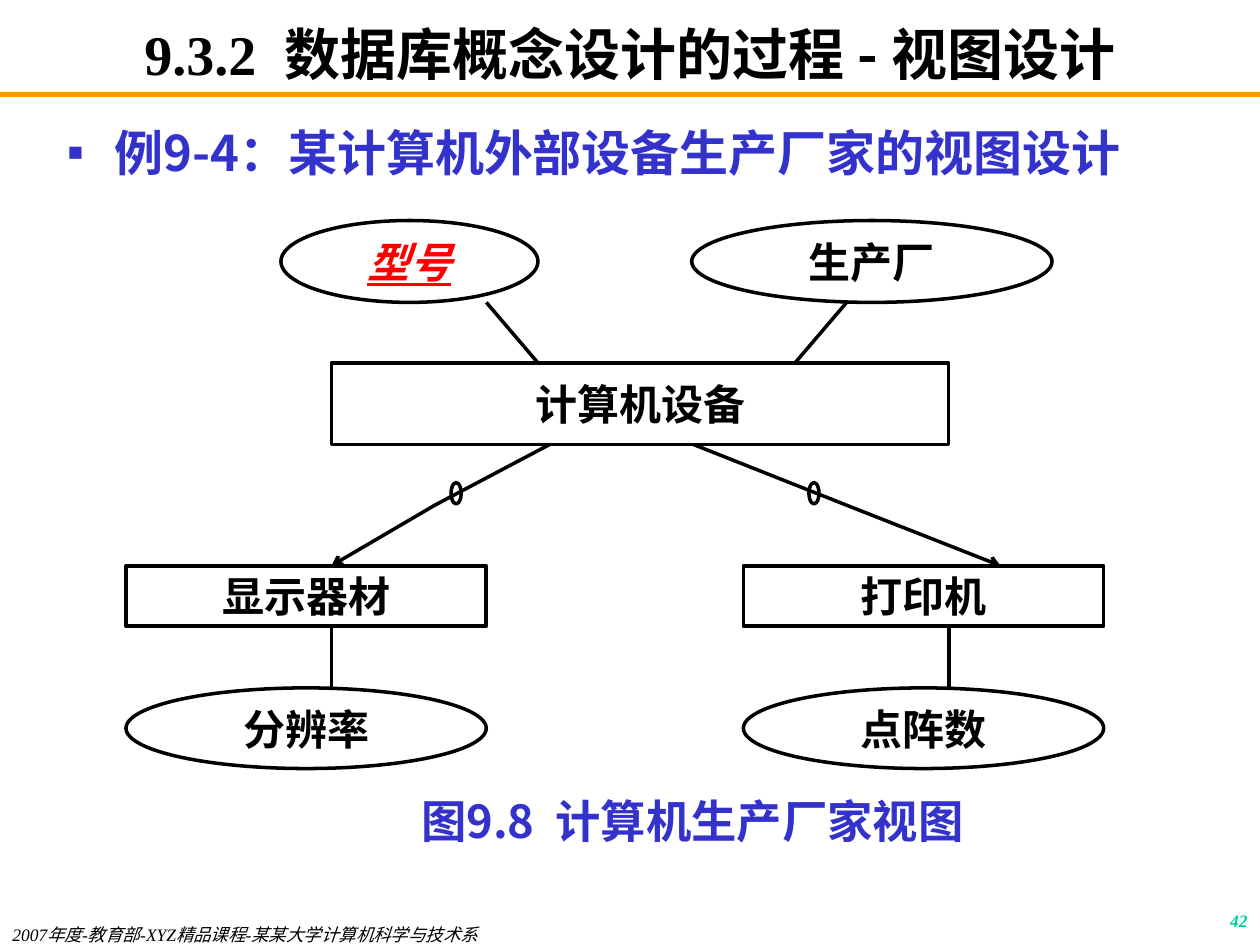
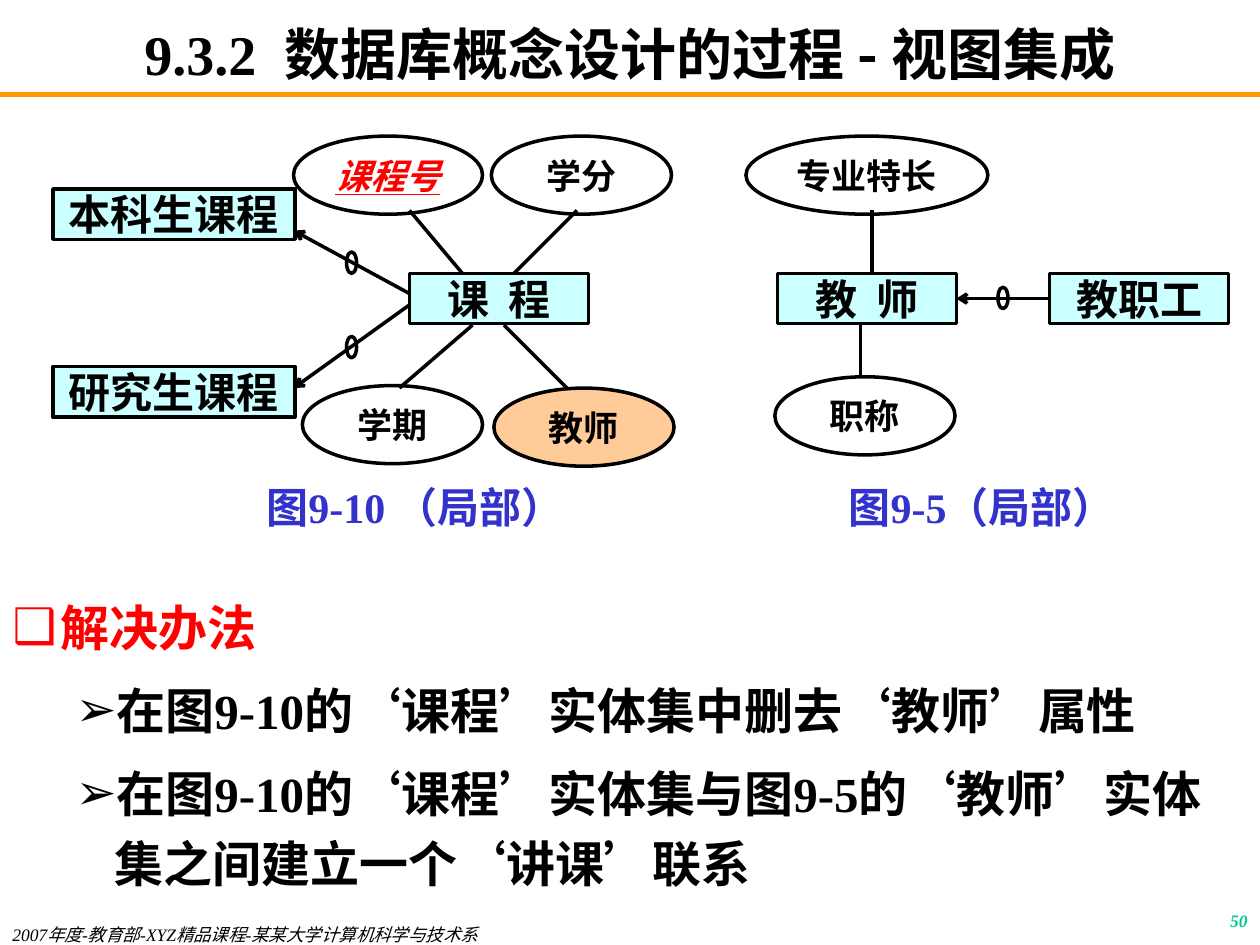
from pptx import Presentation
from pptx.dml.color import RGBColor
from pptx.enum.shapes import MSO_CONNECTOR, MSO_SHAPE
from pptx.enum.text import MSO_ANCHOR, MSO_AUTO_SIZE, PP_ALIGN
from pptx.oxml.ns import qn
from pptx.util import Inches, Pt
from lxml.etree import SubElement

BLACK = RGBColor(0x00, 0x00, 0x00)
WHITE = RGBColor(0xFF, 0xFF, 0xFF)
RED = RGBColor(0xFF, 0x00, 0x00)
BLUE = RGBColor(0x33, 0x33, 0xCC)
GREEN = RGBColor(0x00, 0xCC, 0x99)
ORANGE = RGBColor(0xFF, 0x99, 0x00)
CYAN = RGBColor(0xCC, 0xFF, 0xFF)
PEACH = RGBColor(0xFF, 0xCC, 0x99)

SERIF = "Times New Roman"
SANS = "Noto Sans CJK SC"
RECT = MSO_SHAPE.RECTANGLE
OVAL = MSO_SHAPE.OVAL
COURSE = "2007年度-教育部-XYZ精品课程-某某大学计算机科学与技术系"


def add_text(p, text, size=24, font=SERIF, color=BLACK, bold=True,
             italic=False, underline=False):
    r = p.add_run()
    r.text = text
    f = r.font
    f.name, f.size, f.bold, f.italic = font, Pt(size), bold, italic
    f.underline = underline
    f.color.rgb = color
    SubElement(r.font._element, qn("a:ea")).set("typeface", SANS)


def set_frame(tf, margins=(0.1, 0.05), anchor=MSO_ANCHOR.TOP):
    tf.word_wrap = True
    tf.auto_size = MSO_AUTO_SIZE.NONE
    tf.vertical_anchor = anchor
    tf.margin_left = tf.margin_right = Inches(margins[0])
    tf.margin_top = tf.margin_bottom = Inches(margins[1])


def set_box(sp, box):
    sp.left, sp.top, sp.width, sp.height = map(Inches, box)


def add_label(s, box, text, align=PP_ALIGN.CENTER, margins=(0.1, 0.01),
              anchor=MSO_ANCHOR.MIDDLE, **fmt):
    sp = s.shapes.add_textbox(*map(Inches, box))
    set_frame(sp.text_frame, margins, anchor)
    p = sp.text_frame.paragraphs[0]
    p.alignment = align
    add_text(p, text, **fmt)


def add_bullet(p, char, color, left, hang):
    pPr = p._p.get_or_add_pPr()
    pPr.set("marL", str(Inches(left)))
    pPr.set("indent", str(-Inches(hang)))
    clr = SubElement(SubElement(pPr, qn("a:buClr")), qn("a:srgbClr"))
    clr.set("val", str(color))
    SubElement(pPr, qn("a:buChar")).set("char", char)


def add_line(s, x1, y1, x2, y2, arrow=False, color=BLACK, width=2):
    cn = s.shapes.add_connector(MSO_CONNECTOR.STRAIGHT,
                                *map(Inches, (x1, y1, x2, y2)))
    cn.line.color.rgb = color
    cn.line.width = Pt(width)
    if arrow:
        SubElement(cn.line._get_or_add_ln(), qn("a:tailEnd")).set("type", "arrow")
    SubElement(cn._element.spPr, qn("a:effectLst"))
    return cn


def add_node(s, kind, box, text="", fill=WHITE, margins=(0.1, 0.01), **fmt):
    sp = s.shapes.add_shape(kind, *map(Inches, box))
    sp.shadow.inherit = False
    if fill is None:
        sp.fill.background()
    else:
        sp.fill.solid()
        sp.fill.fore_color.rgb = fill
    sp.line.color.rgb = BLACK
    sp.line.width = Pt(2)
    if text:
        set_frame(sp.text_frame, margins, MSO_ANCHOR.MIDDLE)
        p = sp.text_frame.paragraphs[0]
        p.alignment = PP_ALIGN.CENTER
        add_text(p, text, **fmt)
    return sp


def add_entity(s, x, y, w, text):
    return add_node(s, RECT, (x, y, w, 0.4), text, CYAN, (0, 0))


def add_attribute(s, x, y, text, w=1.43, **fmt):
    return add_node(s, OVAL, (x, y, w, 0.62), text, size=20, **fmt)


def add_subset_mark(s, x, y):
    add_node(s, OVAL, (x, y, 0.08, 0.17), fill=None)


def add_slide(prs, topic, number):
    s = prs.slides.add_slide(prs.slide_layouts[1])
    add_line(s, 0, 0.75, 10, 0.75, color=ORANGE, width=3)
    title = s.shapes.title
    set_box(title, (0.75, 0.17, 8.5, 0.5))
    set_frame(title.text_frame, (0.1, 0), MSO_ANCHOR.MIDDLE)
    p = title.text_frame.paragraphs[0]
    p.alignment = PP_ALIGN.CENTER
    add_text(p, "9.3.2  ", size=32)
    add_text(p, f"数据库概念设计的过程 - {topic}", size=32, font=SANS)
    add_label(s, (7.92, 7.17, 2.08, 0.33), str(number), PP_ALIGN.RIGHT,
              (0.1, 0.05), MSO_ANCHOR.TOP, size=10, color=GREEN, italic=True)
    add_label(s, (0, 7.33, 5.5, 0.17), COURSE, PP_ALIGN.LEFT, (0.1, 0),
              MSO_ANCHOR.TOP, size=10, bold=False, italic=True)
    return s


def add_list(s, box, items, line=1.0, before=0):
    body = s.placeholders[1]
    set_box(body, box)
    tf = body.text_frame
    set_frame(tf)
    for i, (text, level, char, color, left, hang, font) in enumerate(items):
        p = tf.add_paragraph() if i else tf.paragraphs[0]
        p.level = level
        p.line_spacing = line
        p.space_before = Pt(before)
        add_bullet(p, char, color, left, hang)
        add_text(p, text, size=28, font=font, color=color)


def draw_device_view(s, x, y):
    for x1, y1, x2, y2, arrow in (
            (2.86, 0.65, 3.27, 1.13, False), (5.72, 0.65, 5.31, 1.13, False),
            (3.68, 1.61, 2.45, 2.26, False), (4.08, 1.61, 5.72, 2.26, False),
            (2.45, 2.26, 1.63, 2.74, True), (5.72, 2.26, 6.94, 2.74, True)):
        add_line(s, x + x1, y + y1, x + x2, y + y2, arrow)
    add_node(s, OVAL, (x + 1.23, y, 2.04, 0.65), "型号",
             color=RED, italic=True, underline=True)
    add_node(s, OVAL, (x + 4.49, y, 2.86, 0.65), "生产厂")
    add_node(s, RECT, (x + 1.63, y + 1.13, 4.9, 0.65), "计算机设备")
    for dx, device, attribute in ((0, "显示器材", "分辨率"),
                                  (4.9, "打印机", "点阵数")):
        left = x + dx
        add_line(s, left + 1.63, y + 3.23, left + 1.63, y + 3.71)
        add_node(s, RECT, (left, y + 2.74, 2.86, 0.48), device)
        add_node(s, OVAL, (left, y + 3.71, 2.86, 0.64), attribute)
    for dx in (2.58, 5.42):
        add_subset_mark(s, x + dx, y + 2.08)
    add_label(s, (x + 0.82, y + 4.52, 7.35, 0.48), "图9.8  计算机生产厂家视图",
              size=25.9, font=SANS, color=BLUE)


def draw_course_view(s, x, y):
    add_entity(s, x + 2.83, y + 1.09, 1.42, "课  程")
    add_attribute(s, x + 1.91, y, "课程号", w=1.5, color=RED,
                  italic=True, underline=True)
    add_attribute(s, x + 3.48, y, "学分")
    add_attribute(s, x + 1.98, y + 1.98, "学期")
    add_attribute(s, x + 3.5, y + 2, "教师", fill=PEACH)
    for dy, text in ((0.42, "本科生课程"), (1.83, "研究生课程")):
        add_entity(s, x, y + dy, 1.92, text)
    for start, end in ((1.25, 0.75), (1.34, 2)):
        add_line(s, x + 2.83, y + start, x + 1.91, y + end, arrow=True)
    for dy in (0.92, 1.59):
        add_subset_mark(s, x + 2.33, y + dy)
    for x1, y1, x2, y2 in ((2.83, 0.59, 3.25, 1.09), (4.16, 0.59, 3.66, 1.09),
                           (2.75, 2, 3.33, 1.5), (4.08, 2, 3.58, 1.5)):
        add_line(s, x + x1, y + y1, x + x2, y + y2)
    add_label(s, (x + 1.5, y + 2.69, 2.75, 0.5), "图9-10 （局部）", color=BLUE)


def draw_teacher_view(s, x, y):
    teacher = add_entity(s, x + 0.25, y + 1.09, 1.42, "教  师")
    staff = add_entity(s, x + 2.41, y + 1.09, 1.42, "教职工")
    link = add_line(s, x + 2.41, y + 1.29, x + 1.67, y + 1.29, arrow=True)
    link.begin_connect(staff, 1)
    link.end_connect(teacher, 3)
    add_subset_mark(s, x + 2, y + 1.2)
    add_attribute(s, x + 0.23, y + 1.91, "职称")
    add_attribute(s, x, y, "专业特长", w=1.92)
    add_line(s, x + 1, y + 0.59, x + 1, y + 1.09)
    add_line(s, x + 0.91, y + 1.92, x + 0.91, y + 1.5)
    add_label(s, (x + 0.58, y + 2.69, 2.58, 0.5), "图9-5（局部）", color=BLUE)


def build_view_design(prs):
    s = add_slide(prs, "视图设计", 42)
    add_list(s, (0.43, 0.92, 9.25, 0.83), [
        ("例9-4：某计算机外部设备生产厂家的视图设计", 0, "▪", BLUE, 0.38, 0.38, SANS)])
    draw_device_view(s, 1, 1.75)


def build_view_integration(prs):
    s = add_slide(prs, "视图集成", 50)
    steps = ("在图9-10的‘课程’实体集中删去‘教师’属性",
             "在图9-10的‘课程’实体集与图9-5的‘教师’实体集之间建立一个‘讲课’联系")
    items = [("解决办法", 0, "❑", RED, 0.38, 0.38, SERIF)]
    items += [(step, 1, "➢", BLACK, 0.81, 0.31, SERIF) for step in steps]
    add_list(s, (0, 4.6, 10, 2.65), items, line=1.2, before=7)
    draw_course_view(s, 0.42, 1.08)
    draw_teacher_view(s, 5.92, 1.08)


def main():
    prs = Presentation()
    prs.slide_width, prs.slide_height = Inches(10), Inches(7.5)
    build_view_design(prs)
    build_view_integration(prs)
    prs.save("out.pptx")


if __name__ == "__main__":
    main()
